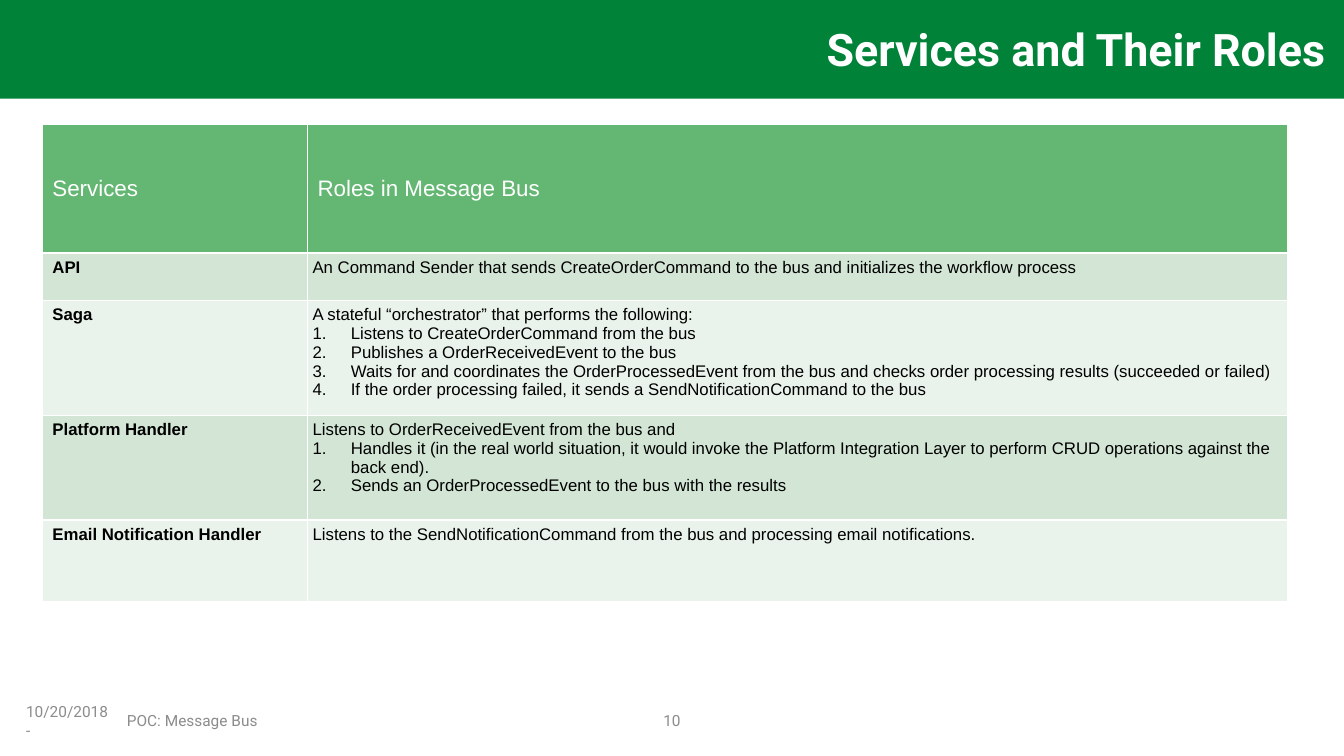
from dataclasses import dataclass

from pptx import Presentation
from pptx import util as u
from pptx.dml import color
from pptx.enum import shapes, text
from pptx.oxml import parse_xml
from pptx.oxml import ns


@dataclass(frozen=True)
class Theme:
    """Colours, fonts and type sizes of the slide."""
    banner: str = "008238"
    header: str = "63B772"
    bands: tuple = ("D3E6D5", "EAF3EB")
    white: str = "FFFFFF"
    black: str = "000000"
    grey: str = "8C8C8C"
    heading_font: str = "Roboto"
    table_font: str = "Arial"
    title_size: int = 32
    header_size: int = 16
    body_size: int = 12
    footer_size: int = 11


@dataclass(frozen=True)
class Box:
    """A rectangle in inches."""
    left: float
    top: float
    width: float
    height: float

    def emu(self):
        """Return the four lengths for python-pptx."""
        return [u.Inches(v) for v in (self.left, self.top, self.width, self.height)]


THEME = Theme()
LIST_INDENT = 0.38
COLUMN_WIDTHS = (2.63, 9.72)
ROW_HEIGHTS = (1.28, 0.47, 1.14, 1.04, 0.81)
HEADINGS = ("Services", "Roles in Message Bus")
SERVICES = (
    ("API", "An Command Sender that sends CreateOrderCommand to the bus and initializes the workflow process", ()),
    ("Saga", "A stateful “orchestrator” that performs the following:", (
        "Listens to CreateOrderCommand from the bus",
        "Publishes a OrderReceivedEvent to the bus",
        "Waits for and coordinates the OrderProcessedEvent from the bus and checks order processing results "
        "(succeeded or failed)",
        "If the order processing failed, it sends a SendNotificationCommand to the bus",
    )),
    ("Platform Handler", "Listens to OrderReceivedEvent from the bus and", (
        "Handles it (in the real world situation, it would invoke the Platform Integration Layer to perform "
        "CRUD operations against the back end).",
        "Sends an OrderProcessedEvent to the bus with the results",
    )),
    ("Email Notification Handler",
     "Listens to the SendNotificationCommand from the bus and processing email notifications.", ()),
)


def add_span(para, words, font, size, colour, bold=False):
    """Add one styled run to a paragraph."""
    span = para.add_run()
    span.text = words
    span.font.name = font
    span.font.size = u.Pt(size)
    span.font.bold = bold
    span.font.color.rgb = color.RGBColor.from_string(colour)


def add_label(page, box, words, size, colour, align, inset=0.1, bold=False):
    """Add a vertically centred single-paragraph text box."""
    frame = page.shapes.add_textbox(*box.emu()).text_frame
    frame.word_wrap = True
    frame.vertical_anchor = text.MSO_ANCHOR.MIDDLE
    frame.margin_left = frame.margin_right = u.Inches(inset)
    frame.margin_top = frame.margin_bottom = u.Inches(inset / 2)
    para = frame.paragraphs[0]
    para.alignment = align
    add_span(para, words, THEME.heading_font, size, colour, bold)


def add_banner(page, box):
    """Draw the banner with its right-aligned title."""
    bar = page.shapes.add_shape(shapes.MSO_SHAPE.RECTANGLE, *box.emu())
    bar.shadow.inherit = False
    bar.fill.solid()
    bar.fill.fore_color.rgb = color.RGBColor.from_string(THEME.banner)
    bar.line.fill.background()
    title = Box(box.left + 2.49, box.top + 0.13, box.width - 2.67, 0.75)
    add_label(page, title, "Services and Their Roles", THEME.title_size, THEME.white,
              text.PP_ALIGN.RIGHT, inset=0, bold=True)


def style_cell(cell, fill):
    """Give a cell white borders and a solid fill."""
    properties = cell._tc.get_or_add_tcPr()
    for side in "LRTB":
        properties.append(parse_xml(
            f'<a:ln{side} {ns.nsdecls("a")} w="12700"><a:solidFill>'
            f'<a:srgbClr val="{THEME.white}"/></a:solidFill></a:ln{side}>'))
    cell.fill.solid()
    cell.fill.fore_color.rgb = color.RGBColor.from_string(fill)


def number_paragraph(para):
    """Turn a paragraph into a numbered list item."""
    properties = para._p.get_or_add_pPr()
    indent = u.Inches(LIST_INDENT)
    properties.set("marL", str(indent))
    properties.set("indent", str(-indent))
    properties.append(parse_xml(f'<a:buAutoNum {ns.nsdecls("a")} type="arabicPeriod"/>'))


def fill_role(cell, lead, steps):
    """Write the lead sentence and its numbered steps."""
    cell.margin_left = cell.margin_right = u.Inches(0.05)
    cell.margin_top = cell.margin_bottom = u.Inches(0.05)
    frame = cell.text_frame
    add_span(frame.paragraphs[0], lead, THEME.table_font, THEME.body_size, THEME.black)
    for step in steps:
        para = frame.add_paragraph()
        number_paragraph(para)
        add_span(para, step, THEME.table_font, THEME.body_size, THEME.black)


def add_services_table(page, box):
    """Build the table of services and their roles."""
    table = page.shapes.add_table(len(ROW_HEIGHTS), len(COLUMN_WIDTHS), *box.emu()).table
    for column, width in zip(table.columns, COLUMN_WIDTHS):
        column.width = u.Inches(width)
    for row, height in zip(table.rows, ROW_HEIGHTS):
        row.height = u.Inches(height)
    for cell, heading in zip(table.rows[0].cells, HEADINGS):
        style_cell(cell, THEME.header)
        cell.vertical_anchor = text.MSO_ANCHOR.MIDDLE
        add_span(cell.text_frame.paragraphs[0], heading, THEME.table_font, THEME.header_size, THEME.white)
    for index, (service, lead, steps) in enumerate(SERVICES):
        name_cell, role_cell = table.rows[index + 1].cells
        for cell in (name_cell, role_cell):
            style_cell(cell, THEME.bands[index % 2])
        add_span(name_cell.text_frame.paragraphs[0], service, THEME.table_font,
                 THEME.body_size, THEME.black, bold=True)
        fill_role(role_cell, lead, steps)


def add_footer(page, box):
    """Place the date, subject and page number."""
    left, center = text.PP_ALIGN.LEFT, text.PP_ALIGN.CENTER
    for offset, width, words, align in (
        (0, 1.06, "10/20/2018 -", left),
        (1, 5.1, "POC: Message Bus", left),
        (6.25, 0.51, "10", center),
    ):
        part = Box(box.left + offset, box.top, width, box.height)
        add_label(page, part, words, THEME.footer_size, THEME.grey, align)


def main():
    """Build and save the slide."""
    deck = Presentation()
    deck.slide_width, deck.slide_height = u.Inches(13.33), u.Inches(7.5)
    page = deck.slides.add_slide(deck.slide_layouts[6])
    add_banner(page, Box(0, -0.02, 13.33, 1))
    add_footer(page, Box(0.16, 6.95, 6.76, 0.4))
    add_services_table(page, Box(0.42, 1.23, sum(COLUMN_WIDTHS), sum(ROW_HEIGHTS)))
    deck.save("out.pptx")


if __name__ == "__main__":
    main()
